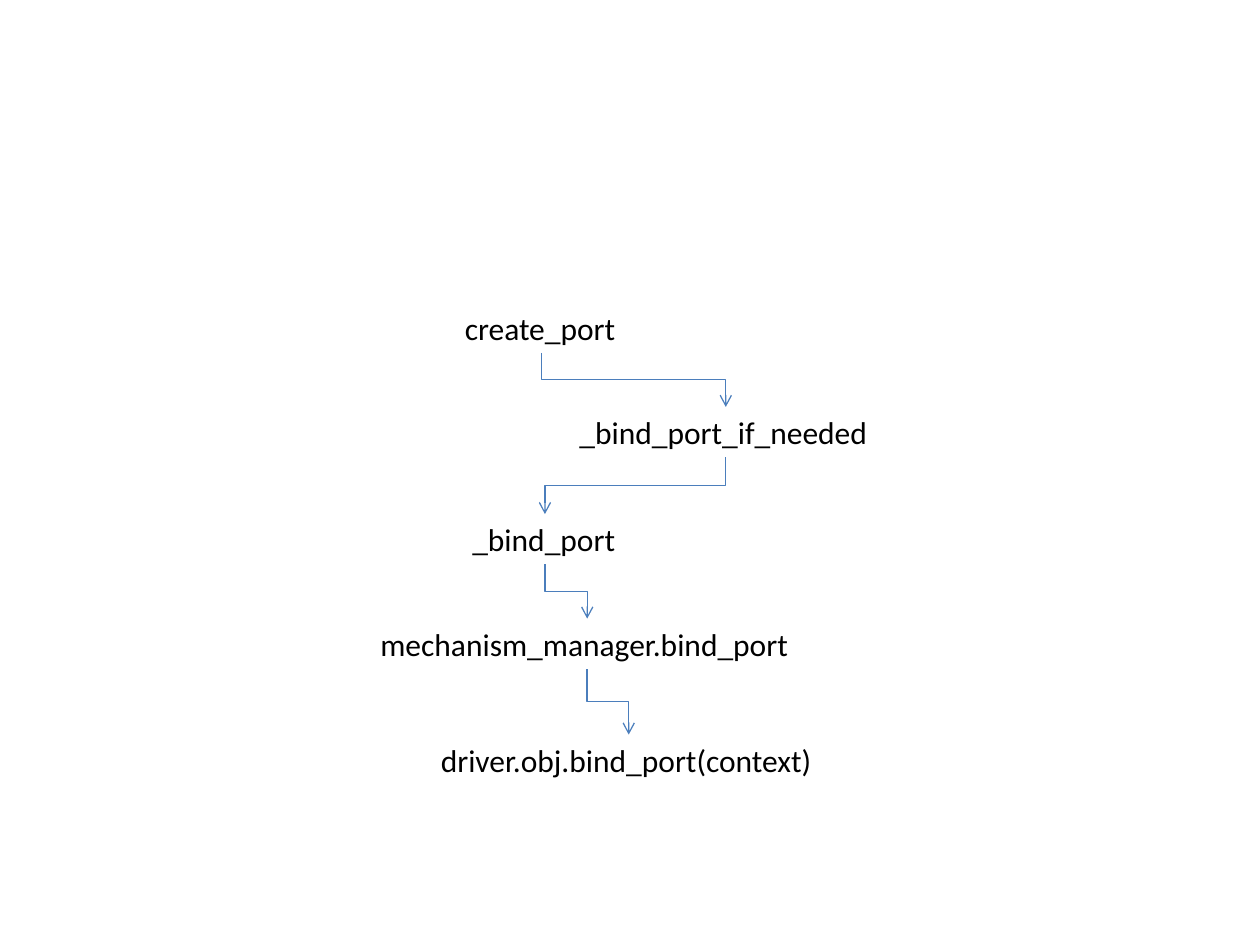
import pptx
import pptx.util
import pptx.dml.color
import pptx.enum.shapes
import pptx.enum.text
import pptx.oxml.ns
import lxml.etree
import itertools

COLOURS = {"text": "000000", "arrow": "4B7EBC"}
FONT = "Calibri"
BOX_HEIGHT = 0.4
CALLS = [
    ("create_port", 3.59, 2.4, 1.41),
    ("_bind_port_if_needed", 4.5, 3.23, 2.52),
    ("_bind_port", 3.65, 4.08, 1.35),
    ("mechanism_manager.bind_port", 2.92, 4.91, 3.48),
    ("driver.obj.bind_port(context)", 3.4, 5.83, 3.18),
]

deck = pptx.Presentation()
deck.slide_width = pptx.util.Inches(10)
deck.slide_height = pptx.util.Inches(7.5)
page = deck.slides.add_slide(deck.slide_layouts[6])

boxes = []
for name, left, top, width in CALLS:
    box = page.shapes.add_textbox(
        *(pptx.util.Inches(length) for length in (left, top, width, BOX_HEIGHT)))
    box.text_frame.word_wrap = False
    box.text_frame.auto_size = pptx.enum.text.MSO_AUTO_SIZE.SHAPE_TO_FIT_TEXT
    box.text_frame.text = name
    span = box.text_frame.paragraphs[0].runs[0]
    span.font.name = FONT
    span.font.size = pptx.util.Pt(18)
    span.font.color.rgb = pptx.dml.color.RGBColor.from_string(COLOURS["text"])
    boxes.append(box)

for caller, callee in itertools.pairwise(boxes):
    start_x = caller.left + caller.width // 2
    start_y = caller.top + caller.height
    end_x = callee.left + callee.width // 2
    end_y = callee.top
    drop, shift = end_y - start_y, abs(end_x - start_x)

    arrow = page.shapes.add_connector(
        pptx.enum.shapes.MSO_CONNECTOR.ELBOW, start_x, start_y, end_x, end_y)
    arrow.begin_connect(caller, 2)
    arrow.end_connect(callee, 0)
    arrow.left = (start_x + end_x - drop) // 2
    arrow.top = (start_y + end_y - shift) // 2
    arrow.width, arrow.height = drop, shift

    goes_right = end_x > start_x
    properties = arrow._element.spPr
    frame = properties.find(pptx.oxml.ns.qn("a:xfrm"))
    frame.set("rot", str((270 if goes_right else 90) * 60000))
    frame.set("flipH", "1" if goes_right else "0")
    frame.set("flipV", "0")

    arrow.line.width = pptx.util.Pt(0.75)
    arrow.line.color.rgb = pptx.dml.color.RGBColor.from_string(COLOURS["arrow"])
    outline = properties.find(pptx.oxml.ns.qn("a:ln"))
    lxml.etree.SubElement(outline, pptx.oxml.ns.qn("a:tailEnd"), type="arrow")
    lxml.etree.SubElement(properties, pptx.oxml.ns.qn("a:effectLst"))

deck.save("out.pptx")
